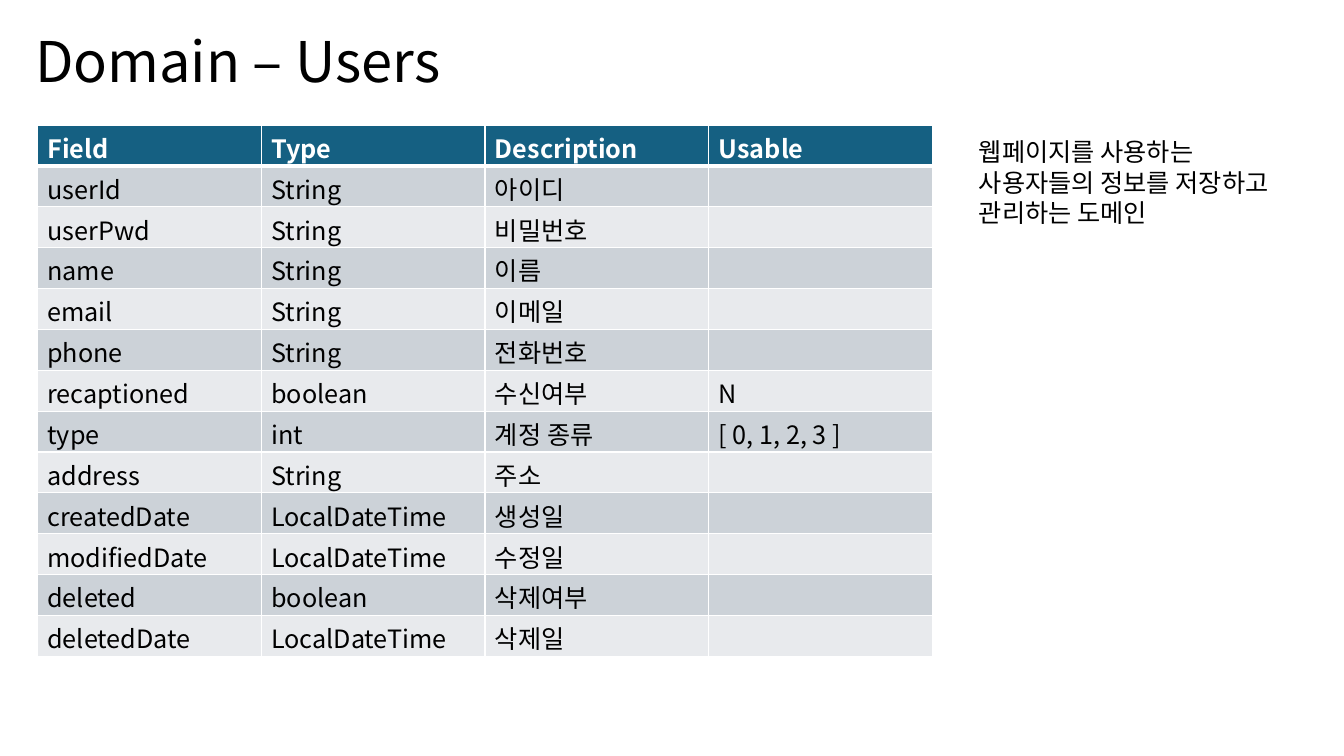
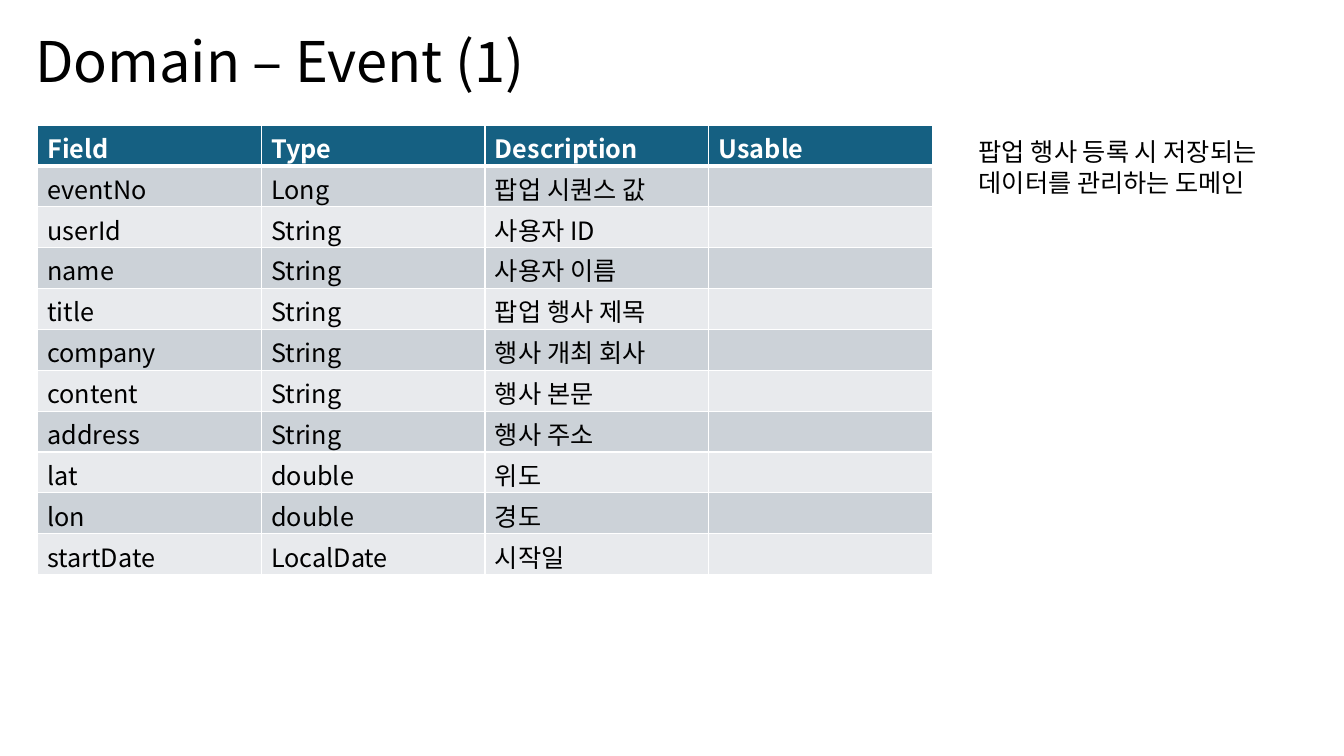
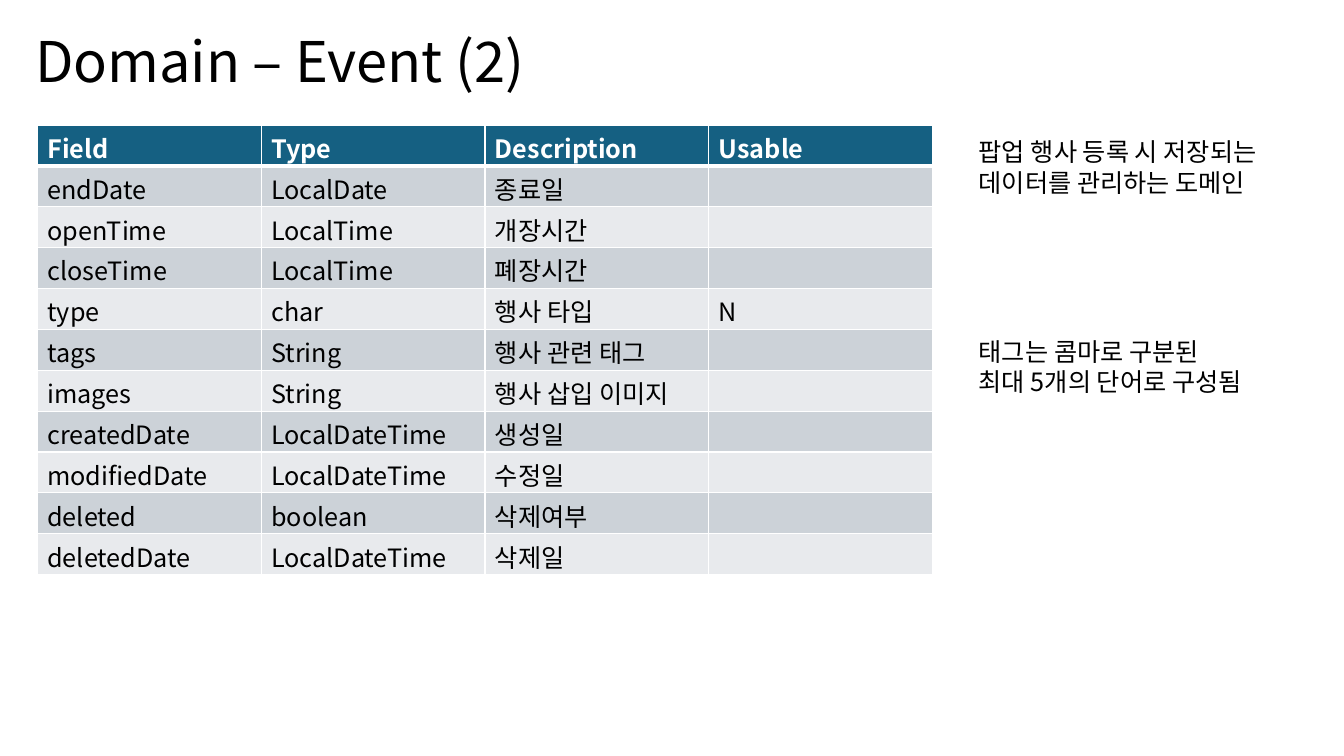
"""Build three slides that document the Users and Event domain classes."""
import lxml.etree
import pptx
import pptx.dml.color
import pptx.oxml
import pptx.oxml.ns
import pptx.util

Inches = pptx.util.Inches
Pt = pptx.util.Pt

FONT = "Noto Sans CJK KR"
COLORS = {
    "text": "000000",
    "header_text": "FFFFFF",
    "header": "156082",
    "odd_row": "CCD2D8",
    "even_row": "E8EAED",
    "border": "FFFFFF",
}
HEADER = ("Field", "Type", "Description", "Usable")
COL_W = Inches(2.22)
ROW_H = Pt(29.2)

USERS = [
    ("userId", "String", "아이디", ""),
    ("userPwd", "String", "비밀번호", ""),
    ("name", "String", "이름", ""),
    ("email", "String", "이메일", ""),
    ("phone", "String", "전화번호", ""),
    ("recaptioned", "boolean", "수신여부", "N"),
    ("type", "int", "계정 종류", "[ 0, 1, 2, 3 ]"),
    ("address", "String", "주소", ""),
]
EVENT = [
    ("eventNo", "Long", "팝업 시퀀스 값", ""),
    ("userId", "String", "사용자 ID", ""),
    ("name", "String", "사용자 이름", ""),
    ("title", "String", "팝업 행사 제목", ""),
    ("company", "String", "행사 개최 회사", ""),
    ("content", "String", "행사 본문", ""),
    ("address", "String", "행사 주소", ""),
    ("lat", "double", "위도", ""),
    ("lon", "double", "경도", ""),
    ("startDate", "LocalDate", "시작일", ""),
]
EVENT_MORE = [
    ("endDate", "LocalDate", "종료일", ""),
    ("openTime", "LocalTime", "개장시간", ""),
    ("closeTime", "LocalTime", "폐장시간", ""),
    ("type", "char", "행사 타입", "N"),
    ("tags", "String", "행사 관련 태그", ""),
    ("images", "String", "행사 삽입 이미지", ""),
]
AUDIT = [
    ("createdDate", "LocalDateTime", "생성일", ""),
    ("modifiedDate", "LocalDateTime", "수정일", ""),
    ("deleted", "boolean", "삭제여부", ""),
    ("deletedDate", "LocalDateTime", "삭제일", ""),
]
EVENT_NOTE = ["팝업 행사 등록 시 저장되는", "데이터를 관리하는 도메인"]
TAG_NOTE = ["태그는 콤마로 구분된", "최대 5개의 단어로 구성됨"]


def rgb(name):
    """Return the named colour."""
    return pptx.dml.color.RGBColor.from_string(COLORS[name])


def style_runs(p, size, color="text", bold=False):
    """Format every run of a paragraph, Korean glyphs included."""
    for r in p.runs:
        r.font.size = Pt(size)
        r.font.bold = bold
        r.font.color.rgb = rgb(color)
        r.font.name = FONT
        ea = lxml.etree.SubElement(r.font._element, pptx.oxml.ns.qn("a:ea"))
        ea.set("typeface", FONT)


def add_text(s, box, lines, size, line_height):
    """Add a text box with one paragraph per line."""
    tf = s.shapes.add_textbox(*map(Inches, box)).text_frame
    tf.word_wrap = True
    tf.text = "\n".join(lines)
    for p in tf.paragraphs:
        p.line_spacing = Pt(line_height)
        style_runs(p, size)


def add_title(s, text, width):
    """Add the slide title."""
    add_text(s, (0.25, 0.17, width, 0.77), [text], 40, 51)


def add_note(s, lines, width, top=1.31):
    """Add a note to the right of the table."""
    add_text(s, (9.61, top, width, 0.1 + 0.3 * len(lines)), lines, 18, 21.5)


def set_borders(cell, top, bottom):
    """Draw the four cell borders; top and bottom are widths in points."""
    tc_pr = cell._tc.get_or_add_tcPr()
    widths = {"lnL": 1, "lnR": 1, "lnT": top, "lnB": bottom}
    for i, (tag, width) in enumerate(widths.items()):
        tc_pr.insert(i, pptx.oxml.parse_xml(
            f'<a:{tag} {pptx.oxml.ns.nsdecls("a")} w="{Pt(width)}"><a:solidFill>'
            f'<a:srgbClr val="{COLORS["border"]}"/></a:solidFill></a:{tag}>'))


def add_field_table(s, fields):
    """Add the table of fields under its header row."""
    rows = [HEADER, *fields]
    table = s.shapes.add_table(len(rows), len(HEADER), Inches(0.37), Inches(1.24),
                               COL_W * len(HEADER), ROW_H * len(rows)).table
    for col in table.columns:
        col.width = COL_W
    for i, row in enumerate(rows):
        table.rows[i].height = ROW_H
        fill = "header" if i == 0 else "odd_row" if i % 2 else "even_row"
        for j, text in enumerate(row):
            cell = table.cell(i, j)
            cell.margin_top, cell.margin_bottom = Inches(0.04), 0
            cell.fill.solid()
            cell.fill.fore_color.rgb = rgb(fill)
            set_borders(cell, 3 if i == 1 else 1, 3 if i == 0 else 1)
            if text:
                p = cell.text_frame.paragraphs[0]
                p.text = text
                style_runs(p, 18, "text" if i else "header_text", i == 0)


def add_domain_slide(prs, title, title_width, fields, note, note_width):
    """Add a slide with title, field table and note."""
    s = prs.slides.add_slide(prs.slide_layouts[6])
    add_title(s, title, title_width)
    add_field_table(s, fields)
    add_note(s, note, note_width)
    return s


def main():
    """Build and save the presentation."""
    prs = pptx.Presentation()
    prs.slide_width, prs.slide_height = Inches(13.33), Inches(7.5)
    add_domain_slide(prs, "Domain – Users", 4.26, USERS + AUDIT,
                     ["웹페이지를 사용하는", "사용자들의 정보를 저장하고", "관리하는 도메인"], 3.41)
    add_domain_slide(prs, "Domain – Event (1)", 5.1, EVENT, EVENT_NOTE, 3.34)
    s = add_domain_slide(prs, "Domain – Event (2)", 5.1, EVENT_MORE + AUDIT,
                         EVENT_NOTE, 3.34)
    add_note(s, TAG_NOTE, 3.13, top=3.29)
    prs.save("out.pptx")


if __name__ == "__main__":
    main()
